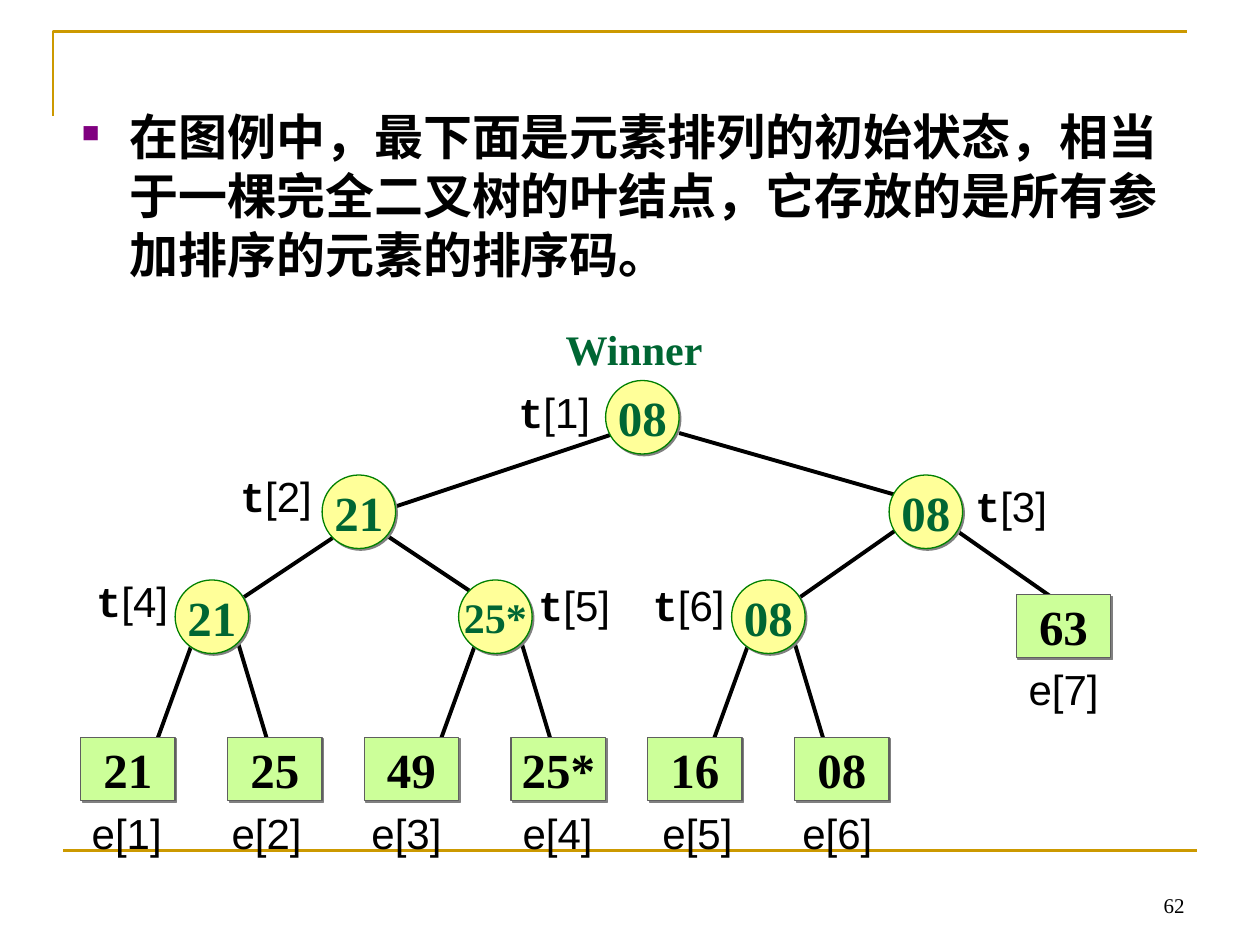
from lxml import etree
from pptx import Presentation
from pptx.dml.color import RGBColor
from pptx.enum.shapes import MSO_CONNECTOR, MSO_SHAPE
from pptx.enum.text import MSO_ANCHOR, PP_ALIGN
from pptx.oxml.ns import qn
from pptx.util import Inches, Pt

STRAIGHT = MSO_CONNECTOR.STRAIGHT
OVAL, RECTANGLE = MSO_SHAPE.OVAL, MSO_SHAPE.RECTANGLE
TOP, MIDDLE, BOTTOM = MSO_ANCHOR.TOP, MSO_ANCHOR.MIDDLE, MSO_ANCHOR.BOTTOM
LEFT, CENTER, RIGHT = PP_ALIGN.LEFT, PP_ALIGN.CENTER, PP_ALIGN.RIGHT

COLORS = {
    "black": "000000", "gold": "CC9900", "purple": "800080",
    "node": "FFFF99", "node_line": "008000", "node_text": "006633",
    "leaf": "CCFF99", "leaf_line": "5F5F5F", "shadow": "808080",
}
SERIF, SANS, MONO = "Times New Roman", "Arial", "Courier New"

# The tree sits on a grid of 1/12 inch cells with its own origin
CELL, ORIGIN_X, ORIGIN_Y = 1 / 12, 0.64, 3.02
NODE_SIZE, LEAF_SIZE, LABEL_SIZE = (7, 7), (9, 6), (10, 6)


def color(name):
    return RGBColor.from_string(COLORS[name])


def grid(column, row):
    return Inches(ORIGIN_X + column * CELL), Inches(ORIGIN_Y + row * CELL)


def grid_box(column, row, size):
    return (*grid(column, row), *(Inches(length * CELL) for length in size))


def inch_box(*lengths):
    return tuple(Inches(length) for length in lengths)


def add_bullet(paragraph, indent):
    properties = paragraph._p.get_or_add_pPr()
    properties.set("marL", str(indent))
    properties.set("indent", str(-indent))
    bullet_color = etree.SubElement(properties, qn("a:buClr"))
    etree.SubElement(bullet_color, qn("a:srgbClr"), val=COLORS["purple"])
    etree.SubElement(properties, qn("a:buSzPct"), val="50000")
    etree.SubElement(properties, qn("a:buChar"), char="■")


def add_tabs(paragraph, stops):
    tabs = etree.SubElement(paragraph._p.get_or_add_pPr(), qn("a:tabLst"))
    for stop in stops:
        etree.SubElement(tabs, qn("a:tab"), pos=str(Inches(stop)), algn="l")


def write(shape, text, size=24, font=SANS, fill="black", bold=False, align=LEFT,
          anchor=TOP, wrap=True, bullet=None, tabs=(), lead="", lead_font=MONO):
    """Write one paragraph; lead is an optional bold run before the text."""
    frame = shape.text_frame
    frame.word_wrap, frame.vertical_anchor = wrap, anchor
    paragraph = frame.paragraphs[0]
    paragraph.alignment = align
    if bullet:
        add_bullet(paragraph, bullet)
    if tabs:
        add_tabs(paragraph, tabs)
    for content, name, is_bold in ((lead, lead_font, True), (text, font, bold)):
        if content:
            run = paragraph.add_run()
            run.text = content
            run.font.name, run.font.size, run.font.bold = name, Pt(size), is_bold
            run.font.color.rgb = color(fill)


class TreeSlide:
    def __init__(self, presentation):
        self.slide = presentation.slides.add_slide(presentation.slide_layouts[6])
        self.shapes = self.slide.shapes

    def text(self, box, text, **style):
        write(self.shapes.add_textbox(*box), text, **style)

    def line(self, start, end, line="black", width=2.25):
        connector = self.shapes.add_connector(STRAIGHT, *start, *end)
        connector.line.color.rgb = color(line)
        connector.line.width = Pt(width)
        etree.SubElement(connector._element.spPr, qn("a:effectLst"))

    def corner(self, points):
        first, *rest = (inch_box(*point) for point in points)
        builder = self.shapes.build_freeform(*first)
        builder.add_line_segments(rest, close=False)
        shape = builder.convert_to_shape()
        shape.shadow.inherit = False
        shape.fill.background()
        shape.line.color.rgb = color("gold")
        shape.line.width = Pt(1.5)

    def box(self, kind, box, text, fill, line, text_fill, size=28):
        shape = self.shapes.add_shape(kind, *box)
        shape.fill.solid()
        shape.fill.fore_color.rgb = color(fill)
        shape.line.color.rgb = color(line)
        shape.line.width = Pt(0.75)
        shape.shadow.inherit = False
        effects = shape._element.spPr.find(qn("a:effectLst"))
        shadow = etree.SubElement(effects, qn("a:outerShdw"), dist=str(Pt(1.4)),
                                  dir="2700000", algn="ctr", rotWithShape="0")
        etree.SubElement(shadow, qn("a:srgbClr"), val=COLORS["shadow"])
        write(shape, text, size=size, font=SERIF, fill=text_fill, bold=True,
              align=CENTER, anchor=MIDDLE, wrap=False)

    def node(self, column, row, text, size=28):
        self.box(OVAL, grid_box(column, row, NODE_SIZE), text,
                 "node", "node_line", "node_text", size)

    def leaf(self, column, row, text):
        self.box(RECTANGLE, grid_box(column, row, LEAF_SIZE), text,
                 "leaf", "leaf_line", "black")


# Column, row, value and text size of each inner node
NODES = [(50, 0, "08", 28), (23, 9, "21", 28), (77, 9, "08", 28),
         (9, 19, "21", 28), (36, 19, "25*", 24), (62, 19, "08", 28)]
LOWEST_PARENTS = [9, 36, 62]
LEAVES = [(0, "21"), (14, "25"), (27, "49"), (41, "25*"), (54, "16"), (68, "08")]
UPPER_EDGES = [((57, 5), (78, 11)), ((30, 12), (51, 5)), ((78, 14), (68, 21)),
               ((28, 14), (37, 20)), ((83, 14), (93, 21)), ((24, 15), (15, 21))]
NODE_LABELS = [(40.5, 0), (14, 8), (84, 8.9), (0.3, 18), (42.4, 18.4), (53.3, 18.4)]


def main():
    presentation = Presentation()
    presentation.slide_width, presentation.slide_height = Inches(10), Inches(7.5)
    tree = TreeSlide(presentation)

    # Frame lines and page number
    tree.corner([(0.42, 0.92), (0.42, 0.25), (9.42, 0.25)])
    tree.line(inch_box(0.5, 6.75), inch_box(9.5, 6.75), "gold", 1.5)
    tree.text(inch_box(7.17, 6.83, 2.33, 0.5), "62", size=12, font=SERIF,
              align=RIGHT, anchor=BOTTOM)

    # Explanation
    tree.text(inch_box(0.55, 0.8, 8.83, 1.6),
              "在图例中，最下面是元素排列的初始状态，相当于一棵完全二叉树的叶结点，"
              "它存放的是所有参加排序的元素的排序码。",
              size=28, bold=True, bullet=Inches(0.38))

    # Edges
    lower_edges = [((parent + start, row), (parent + end, 35))
                   for parent in LOWEST_PARENTS
                   for start, row, end in ((2, 24, -2), (6, 25, 9))]
    for start, end in UPPER_EDGES + lower_edges:
        tree.line(grid(*start), grid(*end))

    # Inner nodes and leaves
    for node in NODES:
        tree.node(*node)
    for column, value in LEAVES:
        tree.leaf(column, 34, value)
    tree.leaf(89.1, 20.4, "63")

    # Labels
    tree.text(inch_box(4.39, 2.52, 1.39, 0.47), "Winner", font=SERIF,
              fill="node_text", bold=True)
    for number, place in enumerate(NODE_LABELS, 1):
        tree.text(grid_box(*place, LABEL_SIZE), f"[{number}]", lead="t")
    tree.text(inch_box(0.63, 6.36, 6.43, 0.5),
              "\t".join(f"e[{number}]" for number in range(1, 7)),
              tabs=(1.11, 2.22, 3.42, 4.53, 5.64))
    tree.text(grid_box(89.1, 26.4, LABEL_SIZE), "e[7]")

    presentation.save("out.pptx")


if __name__ == "__main__":
    main()
